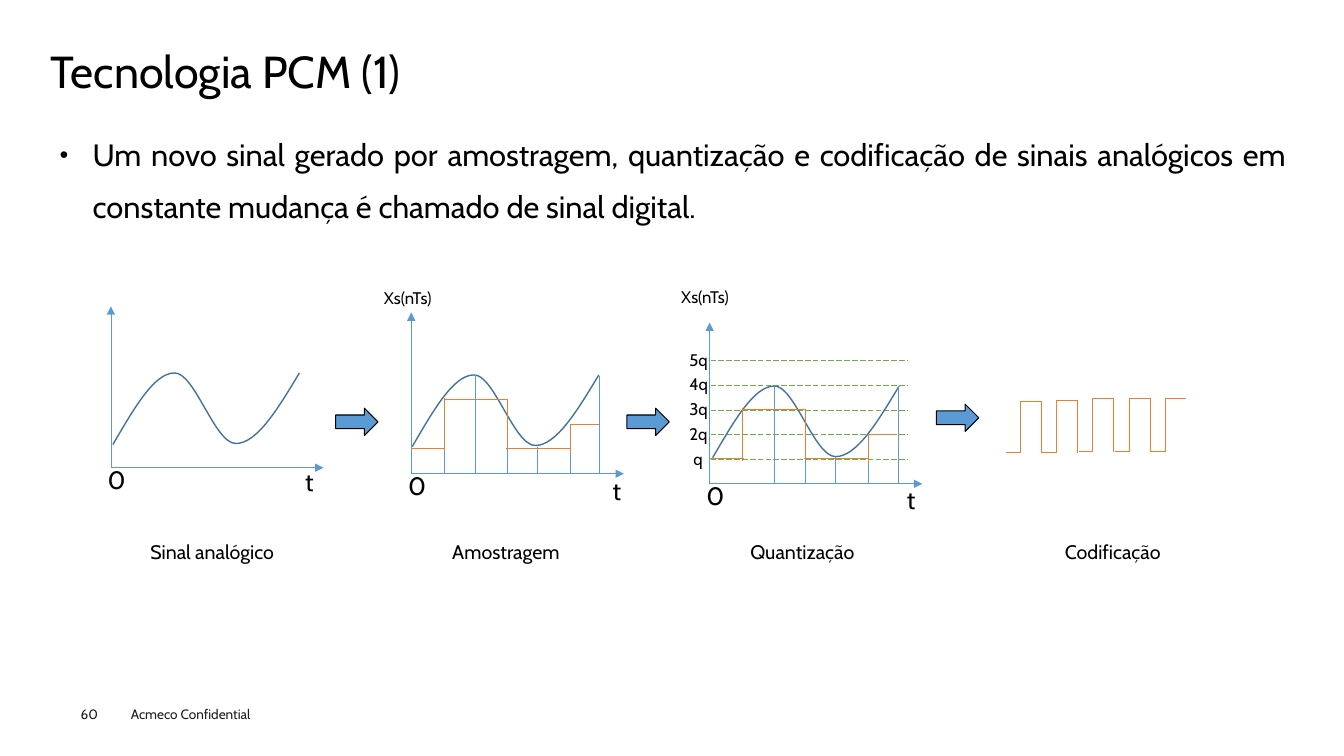
from dataclasses import dataclass

from lxml import etree
from pptx import Presentation
from pptx import util as u
from pptx.dml.color import RGBColor
from pptx.enum import dml, shapes, text
from pptx.oxml import ns

# Content, lengths in px (100 px to the inch)
TITLE = "Tecnologia PCM (1)"
BODY = ("Um novo sinal gerado por amostragem, quantização e codificação de "
        "sinais analógicos em constante mudança é chamado de sinal digital.")
FOOTER = [("Acmeco Confidential", (120, 695, 160, 27), (10, 5)),
          ("60", (80, 700, 55, 16), (0, 0))]
CAPTIONS = [("Sinal analógico", 127, 167), ("Amostragem", 433, 138),
            ("Quantização", 727, 138), ("Codificação", 1041, 126)]
ARROWS = [(333, 405), (622, 405), (929, 401)]
AXIS_LABEL = "Xs(nTs)"

# Each plot: axis corner, curve start and "t" label relative to it, axis label place
PLOTS = {
    "analog": ((110, 464), (2, -23), (183, -6), None),
    "sampled": ((408, 470), (1, -27), (190, -3), (371, 281)),
    "quantized": ((704, 480), (3, -26), (186, -4), (666, 280)),
}
# Bézier control points relative to the curve start
WAVE = [(0, 0), (21, -36), (41, -71), (61, -71), (81, -72),
        (101, -1), (122, -1), (143, -1), (164, -36), (185, -71)]
# Sample positions and heights, and held levels, relative to the axis corner
SAMPLES = [(64, 98), (95, 62), (125, 27), (158, 49), (187, 97)]
HOLDS = [(33, -75, 33, -23), (95, -74, 95, -25), (95, -74, 33, -74),
         (158, -25, 94, -25), (158, -49, 158, -20), (186, -49, 158, -49),
         (0, -25, 34, -25)]
LEVELS = ["q", "2q", "3q", "4q", "5q"]
LEVEL_STEP = 24.4
PULSES = [(398, 449), (397, 449), (395, 448), (395, 448), (395, 448)]
PULSE_LEFT, PULSE_PERIOD, PULSE_HIGH, PULSE_LOW = 1012, 36, 21, 14


@dataclass(frozen=True)
class Theme:
    font: str = "Cabin"
    black: str = "000000"
    footer_color: str = "1D1D1B"
    blue: str = "5B9BD5"
    curve: str = "43739E"
    orange: str = "ED7D31"
    green: str = "70AD47"
    title: float = 32
    body: float = 22
    origin: float = 18
    caption: float = 14
    label: float = 12
    footer: float = 9.7


THEME = Theme()
PX = u.Inches(1) / 100


def px(length):
    return u.Emu(round(length * PX))


def place(shape, left, top, width, height):
    shape.left, shape.top, shape.width, shape.height = map(px, (left, top, width, height))


def write(shape, words, size, color=THEME.black, insets=(10, 5), align=text.PP_ALIGN.LEFT):
    frame = shape.text_frame
    frame.text = words
    frame.word_wrap = True
    frame.auto_size = text.MSO_AUTO_SIZE.NONE
    frame.margin_left = frame.margin_right = px(insets[0])
    frame.margin_top = frame.margin_bottom = px(insets[1])
    frame.vertical_anchor = text.MSO_ANCHOR.TOP
    paragraph = frame.paragraphs[0]
    paragraph.alignment = align
    font = paragraph.runs[0].font
    font.name, font.size = THEME.font, u.Pt(size)
    font.color.rgb = RGBColor.from_string(color)
    return paragraph


def add_label(slide, words, box, size, **style):
    shape = slide.shapes.add_textbox(*map(px, box))
    write(shape, words, size, **style)
    return shape


def add_line(slide, x1, y1, x2, y2, color, arrow=False, dashed=False):
    line = slide.shapes.add_connector(shapes.MSO_CONNECTOR.STRAIGHT, *map(px, (x1, y1, x2, y2)))
    line.line.color.rgb = RGBColor.from_string(color)
    line.line.width = u.Pt(0.5)
    if dashed:
        line.line.dash_style = dml.MSO_LINE.LONG_DASH
    properties = line._element.spPr
    if arrow:
        outline = properties.find(ns.qn("a:ln"))
        etree.SubElement(outline, ns.qn("a:tailEnd"), type="triangle")
    etree.SubElement(properties, ns.qn("a:effectLst"))


def add_wave(slide, left, top):
    points = [(px(left + x), px(top + y)) for x, y in WAVE]
    builder = slide.shapes.build_freeform(*points[0])
    builder.add_line_segments(points[1:], close=False)
    wave = builder.convert_to_shape()
    # Join every three segments into one cubic curve
    segments = list(wave._element.iter(ns.qn("a:lnTo")))
    for first in range(0, len(segments), 3):
        curve = etree.Element(ns.qn("a:cubicBezTo"))
        segments[first].addprevious(curve)
        for segment in segments[first:first + 3]:
            curve.append(segment[0])
            segment.getparent().remove(segment)
    wave.shadow.inherit = False
    wave.fill.background()
    wave.line.color.rgb = RGBColor.from_string(THEME.curve)
    wave.line.width = u.Pt(1)


def add_plot(slide, name):
    (x0, y0), (wave_x, wave_y), (t_x, t_y), label_place = PLOTS[name]
    # Axes and their labels
    add_line(slide, x0, y0, x0 + 211, y0, THEME.blue, arrow=True)
    add_line(slide, x0, y0, x0, y0 - 160, THEME.blue, arrow=True)
    for words, x, y in (("t", t_x, t_y), ("0", -13, -8)):
        label = add_label(slide, words, (x0 + x, y0 + y, 20, 40), THEME.origin)
        label.text_frame.margin_right = 0
    if label_place:
        add_label(slide, AXIS_LABEL, (*label_place, 99, 30), THEME.label)
    # Quantization levels
    if name == "quantized":
        for number, words in enumerate(LEVELS, 1):
            y = y0 - round(LEVEL_STEP * number)
            add_line(slide, x0 + 1, y, x0 + 197, y, THEME.green, dashed=True)
            add_label(slide, words, (x0 - (26 if number == 1 else 30), y - 16, 53, 30), THEME.label)
    # Signal, samples and held values
    add_wave(slide, x0 + wave_x, y0 + wave_y)
    if name != "analog":
        drops = ([(33, 27)] if name == "sampled" else []) + SAMPLES
        for x, height in drops:
            add_line(slide, x0 + x, y0 - height, x0 + x, y0, THEME.blue)
        for x1, y1, x2, y2 in HOLDS:
            add_line(slide, x0 + x1, y0 + y1, x0 + x2, y0 + y2, THEME.orange)


def add_pulses(slide):
    for number, (high, low) in enumerate(PULSES):
        rise = PULSE_LEFT + PULSE_PERIOD * number
        fall = rise + PULSE_HIGH
        add_line(slide, rise - PULSE_LOW, low, rise, low, THEME.orange)
        add_line(slide, rise, high, rise, low, THEME.orange)
        add_line(slide, rise, high, fall, high, THEME.orange)
        if number < len(PULSES) - 1:
            add_line(slide, fall, high, fall, low, THEME.orange)


def add_heading(slide):
    title, body = slide.placeholders[0], slide.placeholders[1]
    place(title, 50, 49, 1235, 54)
    write(title, TITLE, THEME.title, insets=(0, 0)).line_spacing = 0.9
    place(body, 50, 115, 1235, 533)
    paragraph = write(body, BODY, THEME.body, insets=(9, 5), align=text.PP_ALIGN.JUSTIFY)
    properties = paragraph._p.get_or_add_pPr()
    properties.set("marL", str(px(33)))
    properties.set("indent", str(-px(33)))
    etree.SubElement(properties, ns.qn("a:buSzPct"), val="50000")
    etree.SubElement(properties, ns.qn("a:buChar"), char="●")
    paragraph.line_spacing = 1.4
    paragraph.space_before = u.Pt(0)


def main():
    presentation = Presentation()
    presentation.slide_width, presentation.slide_height = px(4000 / 3), px(750)
    slide = presentation.slides.add_slide(presentation.slide_layouts[1])
    # Heading and footer
    add_heading(slide)
    for words, box, insets in FOOTER:
        add_label(slide, words, box, THEME.footer, color=THEME.footer_color, insets=insets)
    # Arrows between the stages
    for left, top in ARROWS:
        arrow = slide.shapes.add_shape(shapes.MSO_SHAPE.RIGHT_ARROW, *map(px, (left, top, 42, 27)))
        arrow.shadow.inherit = False
        arrow.fill.solid()
        arrow.fill.fore_color.rgb = RGBColor.from_string(THEME.blue)
        arrow.line.color.rgb = RGBColor.from_string(THEME.black)
        arrow.line.width = u.Pt(0.75)
    # Stages and captions
    for name in PLOTS:
        add_plot(slide, name)
    add_pulses(slide)
    for words, left, width in CAPTIONS:
        add_label(slide, words, (left, 531, width, 35), THEME.caption,
                  insets=(11, 5), align=text.PP_ALIGN.CENTER)
    presentation.save("out.pptx")


if __name__ == "__main__":
    main()
